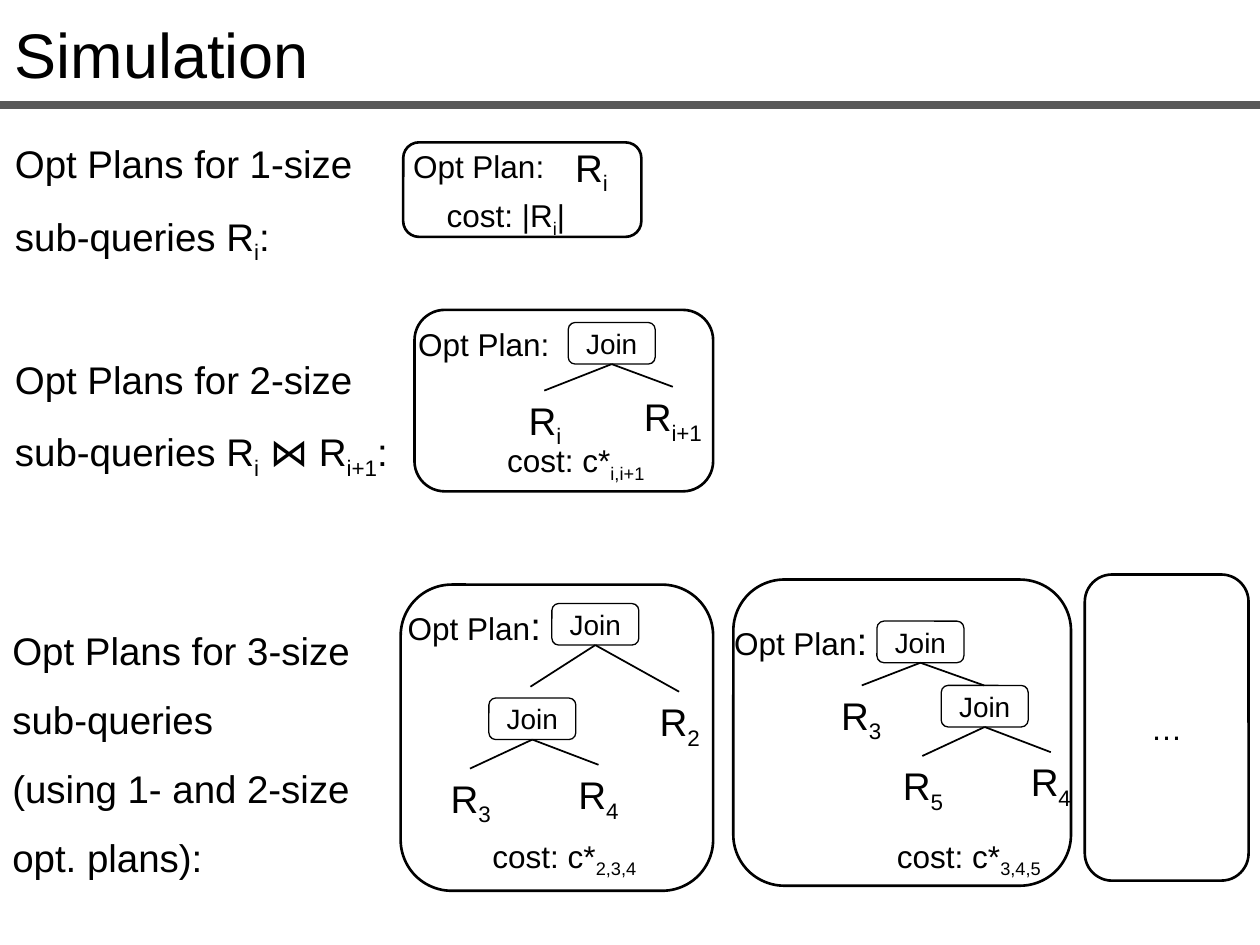
import pptx
import pptx.util
import pptx.dml.color
import pptx.enum.shapes
import pptx.enum.text
import pptx.oxml
from pptx.util import Inches

BLACK = pptx.dml.color.RGBColor(0x00, 0x00, 0x00)
GRAY = pptx.dml.color.RGBColor(0x59, 0x59, 0x59)
ALIGN = pptx.enum.text.PP_ALIGN
LEFT, CENTER = ALIGN.LEFT, ALIGN.CENTER
JOIN_WIDTH, JOIN_HEIGHT = 0.69, 0.33

deck = pptx.Presentation()
deck.slide_width, deck.slide_height = Inches(10), Inches(7.5)
page = deck.slides.add_slide(deck.slide_layouts[6])


def add_label(place, paragraphs, size, align=LEFT, spacing=None, wrap=True):
    """Add a text box; each paragraph alternates normal and subscript parts, split by _."""
    box = page.shapes.add_textbox(*map(Inches, place))
    frame = box.text_frame
    frame.word_wrap = wrap
    frame.auto_size = pptx.enum.text.MSO_AUTO_SIZE.SHAPE_TO_FIT_TEXT
    for index, text in enumerate(paragraphs):
        para = frame.paragraphs[0] if index == 0 else frame.add_paragraph()
        para.alignment = align
        para.line_spacing = spacing
        for position, part in enumerate(text.split("_")):
            span = para.add_run()
            span.text = part
            span.font.name = "Arial"
            span.font.size = pptx.util.Pt(size)
            span.font.color.rgb = BLACK
            if position % 2:
                span.font._element.set("baseline", "-25000")
    return box


def add_line(start, end, color, width):
    line = page.shapes.add_connector(
        pptx.enum.shapes.MSO_CONNECTOR.STRAIGHT, *map(Inches, start + end))
    line.line.color.rgb = color
    line.line.width = pptx.util.Pt(width)
    line._element.spPr.append(pptx.oxml.parse_xml(
        '<a:effectLst xmlns:a="http://schemas.openxmlformats.org/drawingml/2006/main"/>'))


# Title and rule
add_label((0.02, 0.07, 9.89, 0.71), ["Simulation"], 36)
add_line((0, 0.83), (10, 0.83), GRAY, 4.5)

# Row descriptions
for place, paragraphs in [
    ((0.02, 0.88, 3.19, 1.14), ["Opt Plans for 1-size sub-queries R_i_:"]),
    ((0.02, 2.59, 3.18, 1.14), ["Opt Plans for 2-size sub-queries R_i_ ⋈ R_i+1_:"]),
    ((0, 4.74, 3.07, 2.25), ["Opt Plans for 3-size sub-queries",
                             "(using 1- and 2-size", "opt. plans):"]),
]:
    add_label(place, paragraphs, 22, spacing=1.5)

# Join tree edges, from the bottom centre of each join node
joins = [
    (4.51, 2.56, [(4.32, 3.10), (5.34, 3.07)]),
    (4.38, 4.79, [(4.21, 5.45), (5.39, 5.49)]),
    (3.88, 5.54, [(3.73, 6.10), (4.75, 6.07)]),
    (6.96, 4.93, [(6.84, 5.44), (7.81, 5.44)]),
    (7.47, 5.44, [(7.32, 6.00), (8.34, 5.97)]),
]
for left, top, children in joins:
    for child in children:
        add_line((left + JOIN_WIDTH / 2, top + JOIN_HEIGHT), child, BLACK, 1)

# Plan frames and join nodes: place, line width, text, text size
rounded_boxes = [
    ((3.2, 1.13, 1.89, 0.75), 1.5, "", 18),
    ((3.29, 2.46, 2.37, 1.44), 1.5, "", 18),
    ((3.18, 4.64, 2.48, 2.43), 1.5, "", 18),
    ((5.82, 4.6, 2.68, 2.43), 1.5, "", 18),
    ((8.61, 4.56, 1.3, 2.43), 1.5, "…", 18),
] + [((left, top, JOIN_WIDTH, JOIN_HEIGHT), 0.75, "Join", 16) for left, top, _ in joins]
for place, width, text, size in rounded_boxes:
    box = page.shapes.add_shape(
        pptx.enum.shapes.MSO_SHAPE.ROUNDED_RECTANGLE, *map(Inches, place))
    box.shadow.inherit = False
    box.fill.background()
    box.line.color.rgb = BLACK
    box.line.width = pptx.util.Pt(width)
    if text:
        box.text_frame.text = text
        box.text_frame.vertical_anchor = pptx.enum.text.MSO_ANCHOR.MIDDLE
        para = box.text_frame.paragraphs[0]
        para.alignment = CENTER
        font = para.runs[0].font
        font.name, font.size = "Arial", pptx.util.Pt(size)
        font.color.rgb = BLACK

# Relations at the leaves
for left, top, width, name in [
    (4.12, 1.09, 1.15, "R_i"),
    (3.98, 3.10, 0.69, "R_i"), (4.93, 3.07, 0.82, "R_i+1"),
    (3.39, 6.10, 0.69, "R_3"), (4.34, 6.07, 0.82, "R_4"), (5.12, 5.49, 0.55, "R_2"),
    (6.98, 6.00, 0.69, "R_5"), (7.93, 5.97, 0.82, "R_4"), (6.56, 5.44, 0.55, "R_3"),
]:
    add_label((left, top, width, 0.47), [name], 22, CENTER)

# Plan headings; the 3-size ones end in a larger colon
for left, top, width in [(3.18, 1.12, 1.28), (3.22, 2.53, 1.39)]:
    add_label((left, top, width, 0.4), ["Opt Plan:"], 18)
for left, top in [(3.1, 4.73), (5.69, 4.85)]:
    heading = add_label((left, top, 1.33, 0.47), ["Opt Plan"], 18, CENTER)
    span = heading.text_frame.paragraphs[0].add_run()
    span.text = ":"
    span.font.name, span.font.size = "Arial", pptx.util.Pt(22)
    span.font.color.rgb = BLACK

# Costs
for left, top, width, cost in [
    (3.44, 1.51, 1.15, "cost: |R_i_|"),
    (3.9, 3.45, 1.34, "cost: c*_i,i+1"),
    (3.78, 6.59, 1.4, "cost: c*_2,3,4"),
    (6.99, 6.59, 1.4, "cost: c*_3,4,5"),
]:
    add_label((left, top, width, 0.4), [cost], 18, CENTER, wrap=False)

deck.save("out.pptx")
